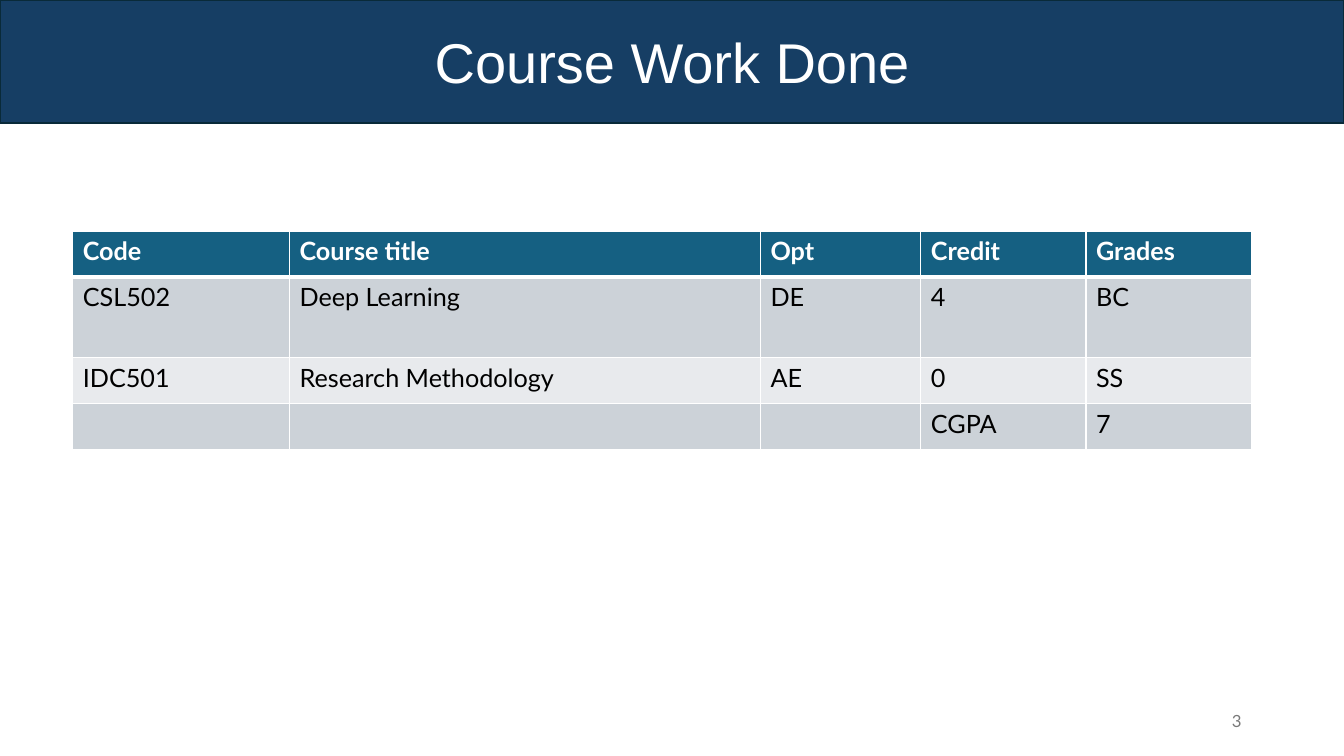
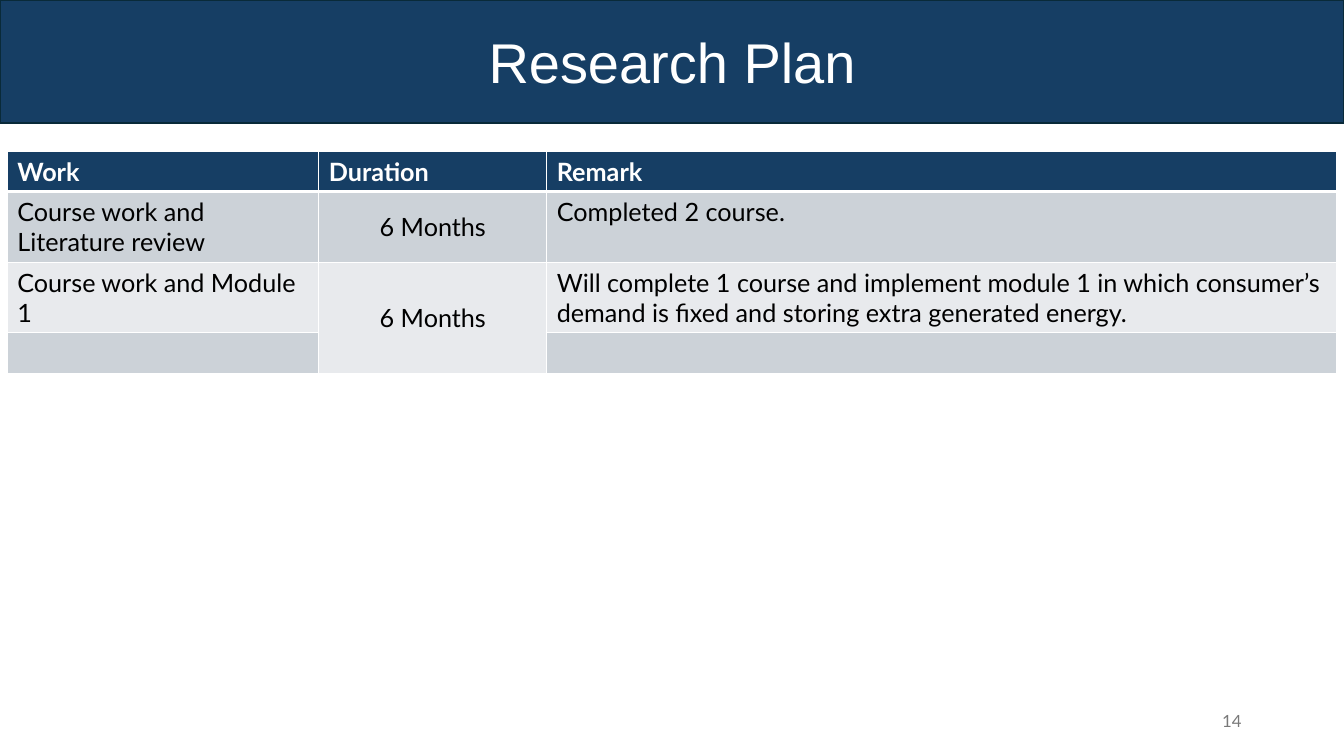
from lxml import etree
from pptx import Presentation
from pptx.dml.color import RGBColor
from pptx.enum.text import MSO_ANCHOR, MSO_AUTO_SIZE, PP_ALIGN
from pptx.oxml.ns import qn
from pptx.util import Pt

MIDDLE, TOP = MSO_ANCHOR.MIDDLE, MSO_ANCHOR.TOP
LEFT, CENTER, RIGHT = PP_ALIGN.LEFT, PP_ALIGN.CENTER, PP_ALIGN.RIGHT
FIXED_SIZE = MSO_AUTO_SIZE.NONE

# Shared look
SLIDE_WIDTH, SLIDE_HEIGHT = 960, 540
BAND_HEIGHT = 88
TITLE_FONT, BODY_FONT = "Arial", "Lato"
NAVY, BAND_EDGE, TEAL = "163E64", "092A39", "156082"
WHITE, BLACK, GREY = "FFFFFF", "000000", "797979"
ROW_FILLS = ["E8EAED", "CCD2D8"]  # even rows, odd rows
TITLE_ONLY = 5


def color(value):
    return RGBColor.from_string(value)


def set_borders(cell, row_index):
    """Thin white lines, with a thick one under the header row."""
    widths = {"lnL": 1, "lnR": 1,
              "lnT": 3 if row_index == 1 else 1,
              "lnB": 3 if row_index == 0 else 1}
    properties = cell._tc.get_or_add_tcPr()
    for position, (side, width) in enumerate(widths.items()):
        line = etree.Element(qn(f"a:{side}"), w=str(Pt(width)))
        fill = etree.SubElement(line, qn("a:solidFill"))
        etree.SubElement(fill, qn("a:srgbClr"), val=WHITE)
        properties.insert(position, line)


# Slide contents
slides = [
    {
        "title": "Course Work Done",
        "number": "3",
        "header_fill": TEAL,
        "position": (52, 165),
        "columns": [154.8, 336.4, 114.6, 118, 118],
        "heights": [32.8, 57.6, 32.8, 32.8],
        "centered": [],
        "merges": [],
        "rows": [
            ["Code", "Course title", "Opt", "Credit", "Grades"],
            ["CSL502", "Deep Learning", "DE", "4", "BC"],
            ["IDC501", "Research Methodology", "AE", "0", "SS"],
            ["", "", "", "CGPA", "7"],
        ],
    },
    {
        "title": "Research Plan",
        "number": "14",
        "header_fill": NAVY,
        "position": (5.2, 108),
        "columns": [222.6, 162.8, 564],
        "heights": [28.8, 50.4, 50.4, 28.8],
        "centered": [1],
        "merges": [((2, 1), (3, 1))],
        "rows": [
            ["Work", "Duration", "Remark"],
            ["Course work and Literature review", "6 Months",
             "Completed 2 course."],
            ["Course work and Module 1", "6 Months",
             "Will complete 1 course and implement module 1 in which "
             "consumer’s demand is fixed and storing extra generated energy."],
            ["", "", ""],
        ],
    },
]

presentation = Presentation()
presentation.slide_width = Pt(SLIDE_WIDTH)
presentation.slide_height = Pt(SLIDE_HEIGHT)

for content in slides:
    slide = presentation.slides.add_slide(presentation.slide_layouts[TITLE_ONLY])

    # Title band
    title = slide.shapes.title
    title.left, title.top = Pt(0), Pt(0)
    title.width, title.height = Pt(SLIDE_WIDTH), Pt(BAND_HEIGHT)
    title.fill.solid()
    title.fill.fore_color.rgb = color(NAVY)
    title.line.color.rgb = color(BAND_EDGE)
    title.line.width = Pt(1.5)
    title.text_frame.text = content["title"]
    title.text_frame.auto_size = FIXED_SIZE

    # Slide number
    number = slide.shapes.add_textbox(Pt(678), Pt(500.5), Pt(216), Pt(28.8))
    number.text_frame.word_wrap = True
    number.text_frame.text = content["number"]

    for shape, font_name, size, text_color, alignment in [
        (title, TITLE_FONT, 40, WHITE, CENTER),
        (number, BODY_FONT, 12, GREY, RIGHT),
    ]:
        shape.text_frame.vertical_anchor = MIDDLE
        paragraph = shape.text_frame.paragraphs[0]
        paragraph.alignment = alignment
        paragraph.font.name = font_name
        paragraph.font.size = Pt(size)
        paragraph.font.color.rgb = color(text_color)

    # Table grid
    rows, columns, heights = content["rows"], content["columns"], content["heights"]
    left, top = content["position"]
    table = slide.shapes.add_table(
        len(rows), len(columns), Pt(left), Pt(top),
        Pt(sum(columns)), Pt(sum(heights))).table
    for column, width in zip(table.columns, columns):
        column.width = Pt(width)
    for row, height in zip(table.rows, heights):
        row.height = Pt(height)

    # Table cells
    for row_index, texts in enumerate(rows):
        is_header = row_index == 0
        for column_index, text in enumerate(texts):
            cell = table.cell(row_index, column_index)
            is_centered = column_index in content["centered"] and not is_header
            cell.text = text
            cell.vertical_anchor = MIDDLE if is_centered else TOP
            cell.fill.solid()
            cell.fill.fore_color.rgb = color(
                content["header_fill"] if is_header else ROW_FILLS[row_index % 2])
            set_borders(cell, row_index)
            paragraph = cell.text_frame.paragraphs[0]
            paragraph.alignment = CENTER if is_centered else LEFT
            paragraph.font.name = BODY_FONT
            paragraph.font.size = Pt(18)
            paragraph.font.bold = is_header
            paragraph.font.color.rgb = color(WHITE if is_header else BLACK)
    for first, last in content["merges"]:
        table.cell(*first).merge(table.cell(*last))

presentation.save("out.pptx")
